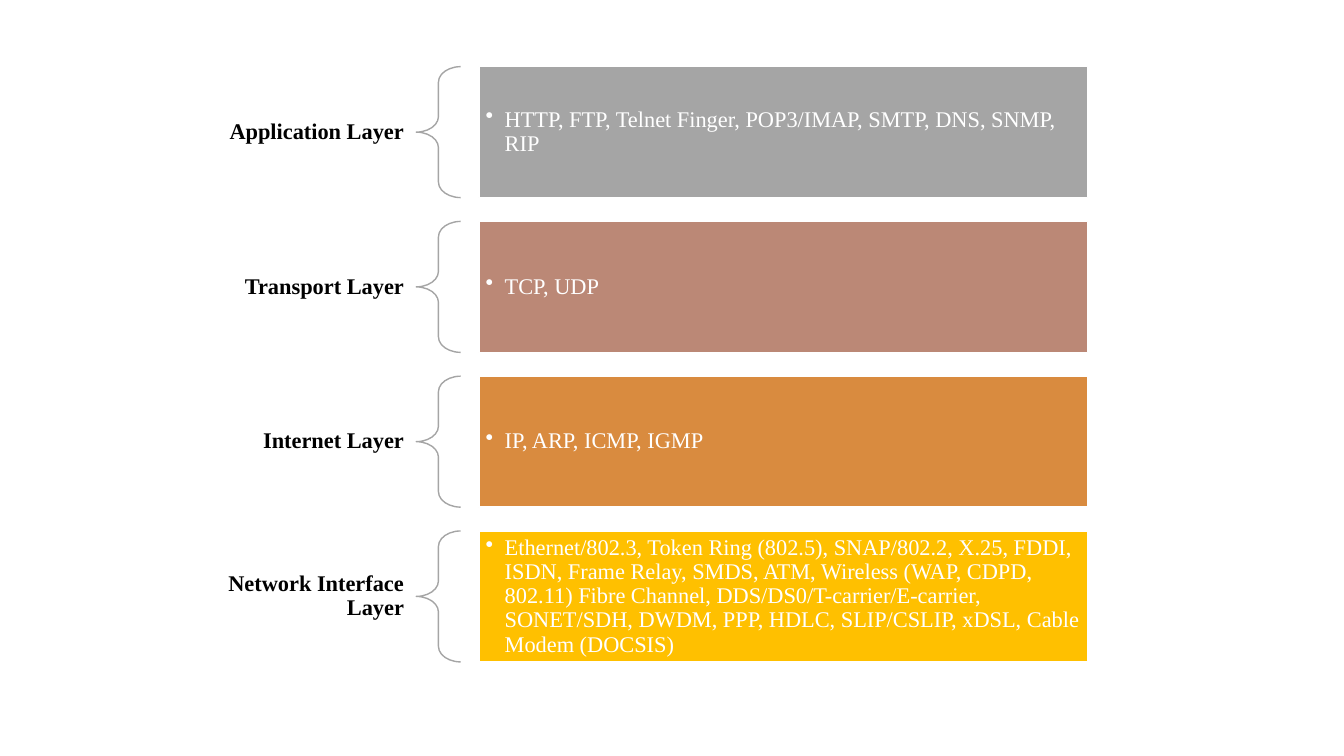
from lxml.etree import SubElement
from pptx import Presentation
from pptx.dml.color import RGBColor
from pptx.enum.shapes import MSO_SHAPE as Preset
from pptx.enum.text import MSO_ANCHOR as Anchor, PP_ALIGN as Align
from pptx.oxml.ns import qn
from pptx.util import Cm, Pt

COLORS = {
    "text": "000000",
    "white": "FFFFFF",
    "brace": "A5A5A5",
    "application": "A5A5A5",
    "transport": "BB8876",
    "internet": "D98B3F",
    "interface": "FFC000",
}
FONT = "Times New Roman"
LAYERS = [
    ("Application Layer", "application",
     "HTTP, FTP, Telnet Finger, POP3/IMAP, SMTP, DNS, SNMP, RIP"),
    ("Transport Layer", "transport", "TCP, UDP"),
    ("Internet Layer", "internet", "IP, ARP, ICMP, IGMP"),
    ("Network Interface Layer", "interface",
     "Ethernet/802.3, Token Ring (802.5), SNAP/802.2, X.25, FDDI, ISDN, "
     "Frame Relay, SMDS, ATM, Wireless (WAP, CDPD, 802.11) Fibre Channel, "
     "DDS/DS0/T-carrier/E-carrier, SONET/SDH, DWDM, PPP, HDLC, SLIP/CSLIP, "
     "xDSL, Cable Modem (DOCSIS)"),
]


def rgb(name):
    """Return the named colour."""
    return RGBColor.from_string(COLORS[name])


def add_preset(slide, preset, box, line):
    """Add a shadowless preset shape with a thin line."""
    shape = slide.shapes.add_shape(preset, *(Cm(length) for length in box))
    shape.shadow.inherit = False
    shape.line.color.rgb = rgb(line)
    shape.line.width = Pt(1)
    return shape


def write_text(shape, text, color, align, margins, bold=False):
    """Write one vertically centred paragraph and return it."""
    frame = shape.text_frame
    frame.word_wrap = True
    frame.vertical_anchor = Anchor.MIDDLE
    side, edge = margins
    frame.margin_left = frame.margin_right = Cm(side)
    frame.margin_top = frame.margin_bottom = Cm(edge)
    paragraph = frame.paragraphs[0]
    paragraph.alignment = align
    paragraph.line_spacing = 0.9
    run = paragraph.add_run()
    run.text = text
    run.font.name = FONT
    run.font.size = Pt(16)
    run.font.bold = bold
    run.font.color.rgb = rgb(color)
    return paragraph


def add_bullet(paragraph, indent):
    """Give the paragraph a hanging round bullet."""
    properties = paragraph._p.get_or_add_pPr()
    properties.set("marL", str(Cm(indent)))
    properties.set("indent", str(-Cm(indent)))
    SubElement(properties, qn("a:buChar")).set("char", "•")


def add_layer(slide, box, name, color, protocols):
    """Place a layer's name, brace and protocol panel in the box."""
    left, top, width, height = box
    name_width, brace_width, gap = 5.64, 1.12, 0.46

    label = slide.shapes.add_textbox(
        Cm(left), Cm(top), Cm(name_width), Cm(height))
    write_text(label, name, "text", Align.RIGHT, (0.31, 0.1), bold=True)

    brace_left = left + name_width
    brace = add_preset(slide, Preset.LEFT_BRACE,
                       (brace_left, top, brace_width, height), "brace")
    brace.adjustments[0] = 0.35
    brace.fill.background()

    panel_left = brace_left + brace_width + gap
    panel = add_preset(slide, Preset.RECTANGLE,
                       (panel_left, top, left + width - panel_left, height),
                       "white")
    panel.fill.solid()
    panel.fill.fore_color.rgb = rgb(color)
    paragraph = write_text(panel, protocols, "white", Align.LEFT, (0.17, 0.17))
    add_bullet(paragraph, 0.48)


def add_layer_stack(slide, box):
    """Stack the protocol layers with equal gaps in the box."""
    left, top, width, height = box
    layer_height = 3.3
    pitch = (height - layer_height) / (len(LAYERS) - 1)
    for index, layer in enumerate(LAYERS):
        add_layer(slide, (left, top + index * pitch, width, layer_height),
                  *layer)


def main():
    """Build and save the presentation."""
    presentation = Presentation()
    presentation.slide_width = Cm(33.87)
    presentation.slide_height = Cm(19.05)
    slide = presentation.slides.add_slide(presentation.slide_layouts[6])
    add_layer_stack(slide, (4.85, 1.68, 22.56, 15))
    presentation.save("out.pptx")


main()
